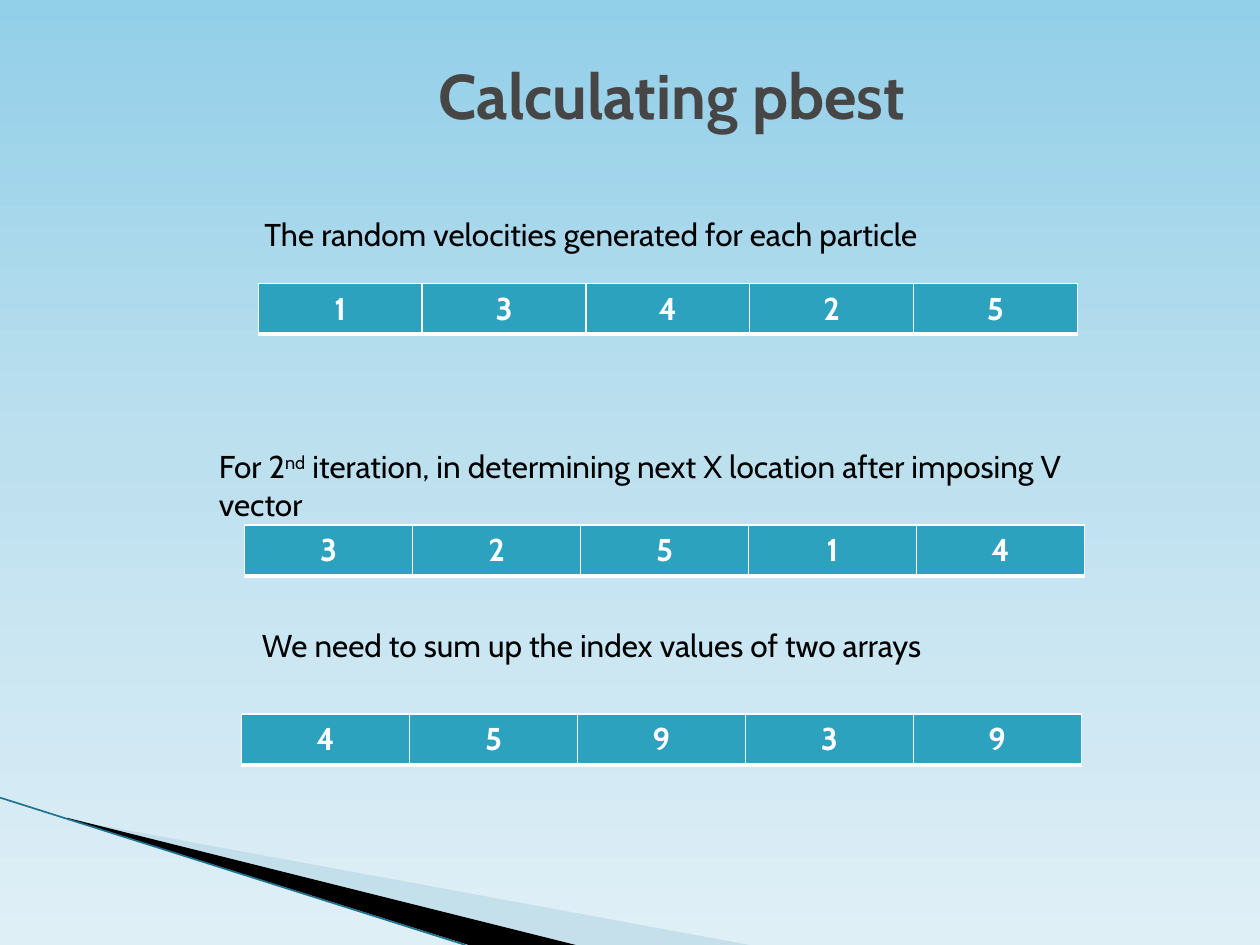
import copy

import pptx
import pptx.dml.color
import pptx.enum.shapes
import pptx.enum.text
import pptx.oxml
import pptx.oxml.ns
import pptx.util
from lxml import etree

Pt = pptx.util.Pt
qn = pptx.oxml.ns.qn
PP_ALIGN = pptx.enum.text.PP_ALIGN
MSO_ANCHOR = pptx.enum.text.MSO_ANCHOR

TITLE = ("Calculating pbest", (77.8, 23.8, 612, 59.8))
CAPTIONS = [
    ((144, 119.5, 453, 29), [("The random velocities generated for each particle", 0)]),
    ((118, 252, 544, 29), [
        ("For 2", 0),
        ("nd", 30),
        (" iteration, in determining next X location after imposing V vector", 0),
    ]),
    ((142.6, 354.2, 456, 29), [("We need to sum up the index values of two arrays", 0)]),
]
ARRAYS = [
    ((147.6, 162, 468, 28.4), (1, 3, 4, 2, 5)),
    ((139.8, 300, 480, 29.2), (3, 2, 5, 1, 4)),
    ((138, 408, 480, 29.2), (4, 5, 9, 3, 9)),
]
SWOOSHES = [
    ([(39.6, 468.4), (428.4, 540), (328.3, 540), (39.6, 468)], "swoosh", 40),
    ([(38.2, 467.3), (329, 540), (267.8, 540), (38.9, 468)], "black", 100),
]
EDGE = (0, 455.8, 266, 540)
THEME = {
    "font": "Cabin", "title_size": 36, "body_size": 18,
    "title": "464646", "black": "000000", "white": "FFFFFF",
    "cell": "2DA2BF", "swoosh": "A0CBDC", "edge": "1F7391",
    "sky": [(0, "92CFE8"), (0.48, "BDE0EF"), (1, "DFEFF6")],
    "borders": {"lnL": 1, "lnR": 1, "lnT": 1, "lnB": 3},
}


def rgb(name):
    return pptx.dml.color.RGBColor.from_string(THEME.get(name, name))


def add_run(p, text, size, color, bold=False, baseline=0):
    r = p.add_run()
    r.text = text
    r.font.name = THEME["font"]
    r.font.size = Pt(THEME[size])
    r.font.bold = bold
    r.font.color.rgb = rgb(color)
    if baseline:
        r.font._element.set("baseline", str(baseline * 1000))


def add_text(s, box):
    tf = s.shapes.add_textbox(*map(Pt, box)).text_frame
    tf.word_wrap = True
    return tf


def paint_sky(s):
    fill = s.background.fill
    fill.gradient()
    fill.gradient_angle = 270
    stops = s.element.xpath(".//a:gsLst")[0]
    stops.append(copy.deepcopy(stops[0]))
    for stop, (position, color) in zip(fill.gradient_stops, THEME["sky"]):
        stop.position = position
        stop.color.rgb = rgb(color)


def add_swoosh(s, points, color, opacity):
    points = [(Pt(x), Pt(y)) for x, y in points]
    builder = s.shapes.build_freeform(*points[0])
    builder.add_line_segments(points[1:], close=True)
    sp = builder.convert_to_shape()
    sp.shadow.inherit = False
    sp.fill.solid()
    sp.fill.fore_color.rgb = rgb(color)
    sp.line.fill.background()
    if opacity < 100:
        clr = sp._element.spPr.find(qn("a:solidFill"))[0]
        etree.SubElement(clr, qn("a:alpha")).set("val", str(opacity * 1000))


def add_edge(s):
    line = s.shapes.add_connector(pptx.enum.shapes.MSO_CONNECTOR.STRAIGHT, *map(Pt, EDGE))
    line.line.color.rgb = rgb("edge")
    line.line.width = Pt(0.95)
    etree.SubElement(line._element.spPr, qn("a:effectLst"))


def add_borders(cell):
    tc_pr = cell._tc.get_or_add_tcPr()
    for side, width in THEME["borders"].items():
        ln = etree.SubElement(tc_pr, qn("a:" + side), w=str(Pt(width)))
        fill = etree.SubElement(ln, qn("a:solidFill"))
        etree.SubElement(fill, qn("a:srgbClr"), val=THEME["white"])


def add_array(s, box, values):
    table = s.shapes.add_table(1, len(values), *map(Pt, box)).table
    table.first_row = table.horz_banding = False
    for i, value in enumerate(values):
        table.columns[i].width = Pt(box[2] / len(values))
        cell = table.cell(0, i)
        add_borders(cell)
        cell.fill.solid()
        cell.fill.fore_color.rgb = rgb("cell")
        p = cell.text_frame.paragraphs[0]
        p.alignment = PP_ALIGN.CENTER
        add_run(p, str(value), "body_size", "white", bold=True)


def main():
    """Build the slide on calculating pbest and save it."""
    prs = pptx.Presentation()
    prs.slide_width, prs.slide_height = Pt(720), Pt(540)
    s = prs.slides.add_slide(prs.slide_layouts[6])
    paint_sky(s)
    for swoosh in SWOOSHES:
        add_swoosh(s, *swoosh)
    add_edge(s)

    text, box = TITLE
    tf = add_text(s, box)
    tf.vertical_anchor = MSO_ANCHOR.MIDDLE
    p = tf.paragraphs[0]
    p.alignment = PP_ALIGN.CENTER
    add_run(p, text, "title_size", "title", bold=True)

    for box, values in ARRAYS:
        add_array(s, box, values)
    for box, runs in CAPTIONS:
        p = add_text(s, box).paragraphs[0]
        for text, baseline in runs:
            add_run(p, text, "body_size", "black", baseline=baseline)
    prs.save("out.pptx")


if __name__ == "__main__":
    main()
